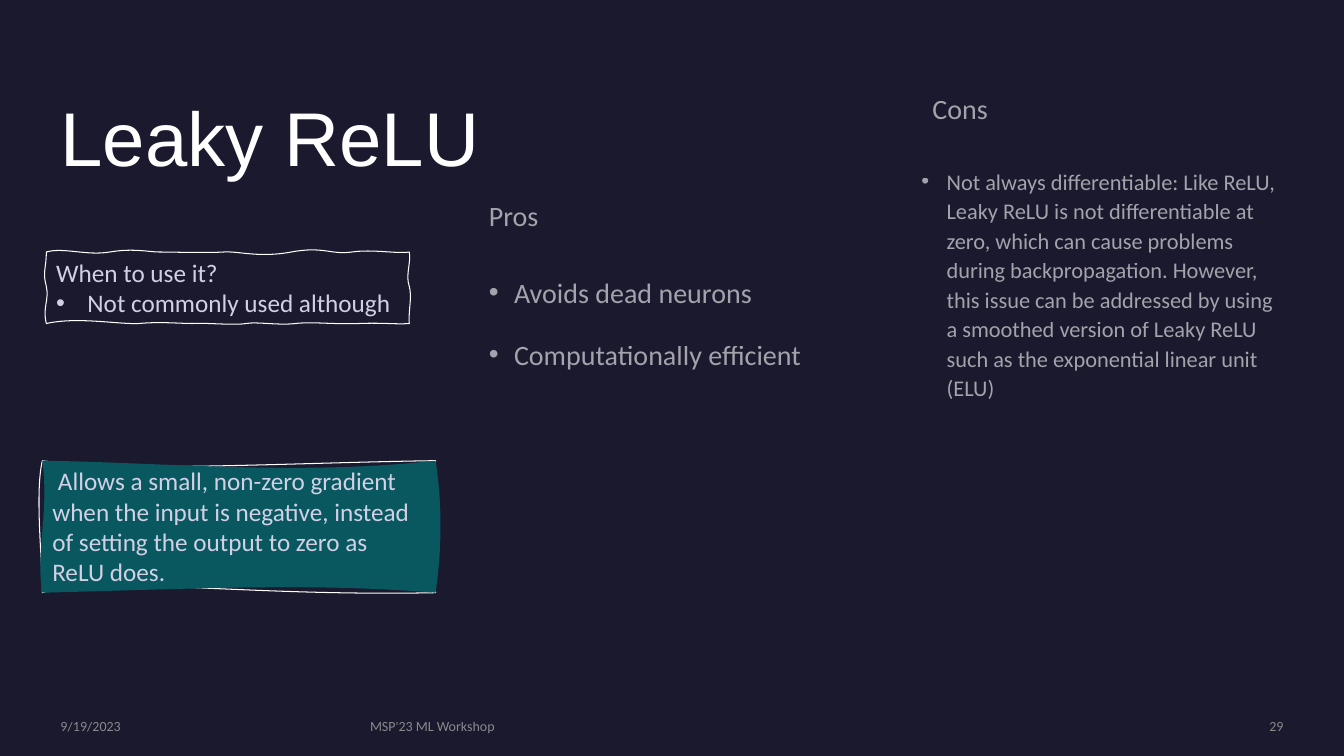
from lxml import etree
from pptx import Presentation
from pptx import util as u
from pptx.dml.color import RGBColor
from pptx.enum import text as t
from pptx.oxml.ns import qn

HUES = {"back": "1B192E", "deep": "095860", "white": "FFFFFF",
        "pale": "D2D0E5", "gray": "A6A6A6"}
SIZE = (13.33, 7.5)
FOOT = (7.12, 0.17)
HEAD = (3.9, 0.59)

STYLES = {
    "foot": dict(size=10, hue="gray", alpha=80, pad=(0, 0), anchor="MIDDLE"),
    "title": dict(size=54.4, hue="white", font="Arial", pad=(0, 0), anchor="BOTTOM", line=0.9),
    "head": dict(size=20, hue="white", alpha=60, line=1.1, gaps=(10, 8)),
    "list": dict(size=20, hue="white", alpha=60, line=1.1, gaps=(10, 8), dent=0.25),
    "small": dict(size=16, hue="white", alpha=60, line=1.1, gaps=(10, 8), dent=0.25),
    "note": dict(size=18, hue="pale"),
}

TEXTS = [
    ("foot", (0.6, FOOT[0], 2.88, FOOT[1]), ["9/19/2023"], "LEFT"),
    ("foot", (3.67, FOOT[0], 6.98, FOOT[1]), ["MSP'23 ML Workshop"], "LEFT"),
    ("foot", (10.88, FOOT[0], 1.85, FOOT[1]), ["29"], "RIGHT"),
    ("title", (0.6, 0.57, 4.47, 1.25), ["Leaky ReLU"], "LEFT"),
    ("head", (4.75, 1.89, *HEAD), ["Pros"], "LEFT"),
    ("list", (4.75, 2.65, 4.27, 3.84),
     ["Avoids dead neurons", "Computationally efficient"], "LEFT"),
    ("head", (9.15, 0.83, *HEAD), ["Cons"], "LEFT"),
    ("small", (9.04, 1.59, 3.81, 4.91),
     ["Not always differentiable: Like ReLU, Leaky ReLU is not differentiable at zero, "
      "which can cause problems during backpropagation. However, this issue can be "
      "addressed by using a smoothed version of Leaky ReLU such as the exponential "
      "linear unit (ELU)"], "LEFT"),
]

USE = ["When to use it?", ("Not commonly used although", 0.31)]
GIST = [" Allows a small, non-zero gradient when the input is negative, instead of "
        "setting the output to zero as ReLU does."]

USE_EDGE = [
    (0.46, 2.5), (0.63, 2.45), (0.86, 2.54), (1.09, 2.5), (1.32, 2.46), (1.48, 2.5),
    (1.58, 2.5), (1.68, 2.5), (2.07, 2.51), (2.22, 2.5), (2.37, 2.49), (2.57, 2.56),
    (2.89, 2.5), (3.21, 2.44), (3.28, 2.53), (3.49, 2.5), (3.7, 2.47), (3.94, 2.52),
    (4.06, 2.5), (4.08, 2.6), (4.02, 2.73), (4.06, 2.84), (4.09, 2.95), (4.05, 3.08),
    (4.06, 3.21), (3.93, 3.22), (3.8, 3.2), (3.56, 3.21), (3.32, 3.22), (3.1, 3.19),
    (2.93, 3.21), (2.76, 3.23), (2.55, 3.19), (2.44, 3.21), (2.33, 3.23), (2.02, 3.2),
    (1.91, 3.21), (1.79, 3.21), (1.58, 3.19), (1.38, 3.21), (1.18, 3.22), (0.77, 3.14),
    (0.46, 3.21), (0.42, 3.05), (0.49, 2.98), (0.46, 2.84), (0.42, 2.7), (0.46, 2.66),
    (0.46, 2.5)]
GIST_EDGE = [
    (0.42, 4.57), (1.21, 4.69), (2.88, 4.59), (4.32, 4.57), (4.26, 5.13), (4.29, 5.64),
    (4.32, 5.88), (2.41, 5.92), (0.98, 5.7), (0.42, 5.88), (0.43, 5.68), (0.34, 4.9),
    (0.42, 4.57)]
GIST_FILL = [
    (0.42, 4.57), (1.68, 4.59), (2.96, 4.72), (4.32, 4.57), (4.38, 4.95), (4.39, 5.4),
    (4.32, 5.88), (3.05, 5.78), (2, 5.84), (0.42, 5.88), (0.35, 5.47), (0.49, 5.09),
    (0.42, 4.57)]

SKETCHES = [
    ((0.46, 2.5, 3.6, 0.71), None, USE, [(USE_EDGE, {})]),
    ((0.42, 4.57, 3.89, 1.31), "deep", GIST,
     [(GIST_EDGE, {"fill": "none"}), (GIST_FILL, {"stroke": "0"})]),
]


def rgb(name):
    return RGBColor.from_string(HUES[name])


def apply(thing, vals):
    for key, val in vals.items():
        setattr(thing, key, val)


def write(frame, style, lines, align="LEFT"):
    look = STYLES[style]
    sides = ("margin_left", "margin_top", "margin_right", "margin_bottom")
    pads = [u.Inches(p) for p in look.get("pad", (0.1, 0.05)) * 2]
    apply(frame, dict(zip(sides, pads)))
    apply(frame, {"word_wrap": True, "auto_size": t.MSO_AUTO_SIZE.NONE,
                  "vertical_anchor": t.MSO_ANCHOR[look.get("anchor", "TOP")]})
    before, after = look.get("gaps", (0, 0))
    for num, line in enumerate(lines):
        words, dent = line if isinstance(line, tuple) else (line, look.get("dent"))
        para = frame.add_paragraph() if num else frame.paragraphs[0]
        apply(para, {"alignment": t.PP_ALIGN[align], "line_spacing": look.get("line", 1.0),
                     "space_before": u.Pt(before), "space_after": u.Pt(after)})
        if dent:
            prop = para._p.get_or_add_pPr()
            apply_xml(prop, {"marL": u.Inches(dent), "indent": -u.Inches(dent)})
            add(prop, "a:buFont", typeface="Arial")
            add(prop, "a:buChar", char="•")
        run = para.add_run()
        run.text = words
        apply(run.font, {"size": u.Pt(look["size"]), "name": look.get("font", "Calibri")})
        run.font.color.rgb = rgb(look["hue"])
        if "alpha" in look:
            add(run._r.find(".//" + qn("a:srgbClr")), "a:alpha", val=look["alpha"] * 1000)


def apply_xml(node, vals):
    for key, val in vals.items():
        node.set(key, str(val))


def add(node, tag, **vals):
    kid = etree.SubElement(node, qn(tag))
    apply_xml(kid, vals)
    return kid


def bend(form, box, curves):
    x, y, w, h = map(u.Inches, box)
    plan = form._element.spPr.find(".//" + qn("a:pathLst"))
    for old in list(plan):
        plan.remove(old)
    for knots, flags in curves:
        route = add(plan, "a:path", w=w, h=h, **flags)
        dots = [{"x": u.Inches(a) - x, "y": u.Inches(b) - y} for a, b in knots]
        add(add(route, "a:moveTo"), "a:pt", **dots[0])
        for i in range(1, len(dots), 3):
            arc = add(route, "a:cubicBezTo")
            for dot in dots[i:i + 3]:
                add(arc, "a:pt", **dot)
        add(route, "a:close")


def sketch(slide, box, fill, lines, curves):
    x, y, w, h = map(u.Inches, box)
    pen = slide.shapes.build_freeform(x, y, scale=1.0)
    pen.add_line_segments([(x + w, y), (x + w, y + h), (x, y + h)], close=True)
    form = pen.convert_to_shape()
    form.shadow.inherit = False
    bend(form, box, curves)
    if fill:
        form.fill.solid()
        form.fill.fore_color.rgb = rgb(fill)
    else:
        form.fill.background()
    form.line.color.rgb = rgb("white")
    form.line.width = u.Pt(0.75)
    write(form.text_frame, "note", lines)


def main():
    deck = Presentation()
    deck.slide_width, deck.slide_height = map(u.Inches, SIZE)
    slide = deck.slides.add_slide(deck.slide_layouts[6])
    slide.background.fill.solid()
    slide.background.fill.fore_color.rgb = rgb("back")
    for style, box, lines, align in TEXTS:
        area = slide.shapes.add_textbox(*map(u.Inches, box))
        write(area.text_frame, style, lines, align)
    for item in SKETCHES:
        sketch(slide, *item)
    deck.save("out.pptx")


if __name__ == "__main__":
    main()
